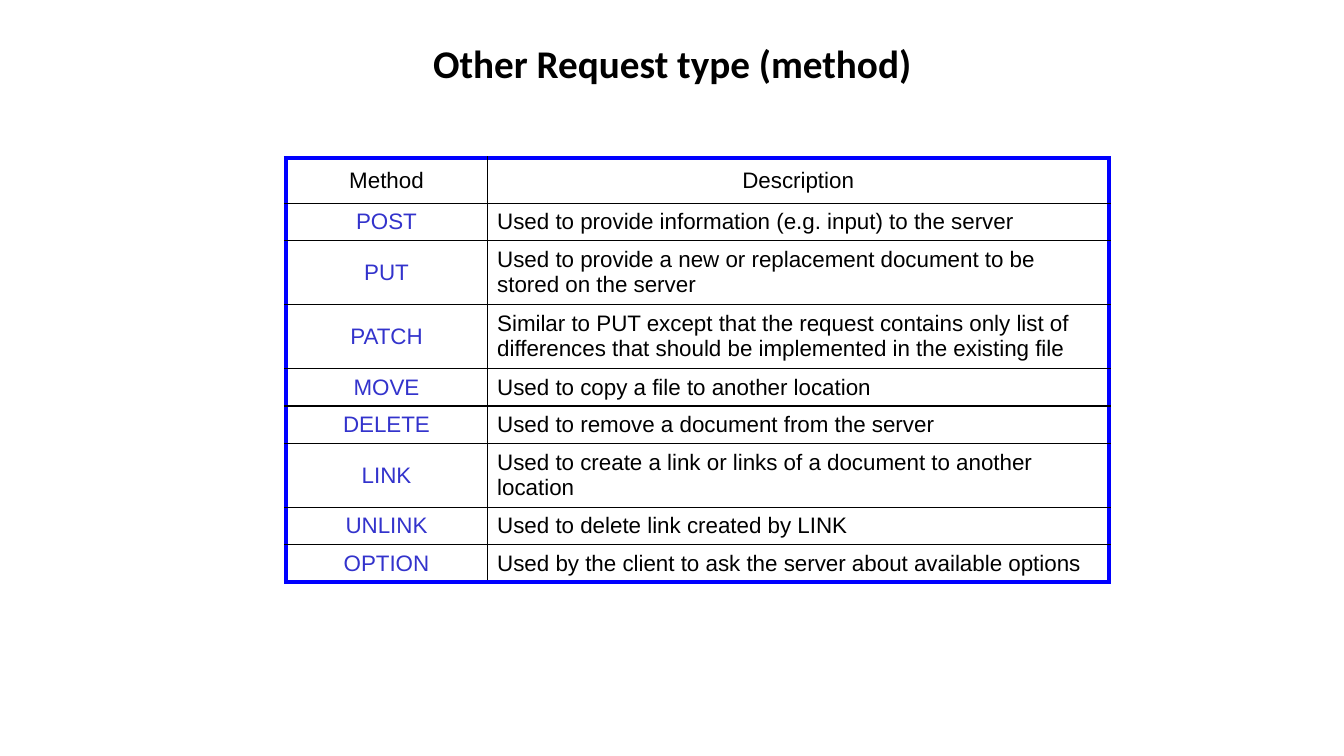
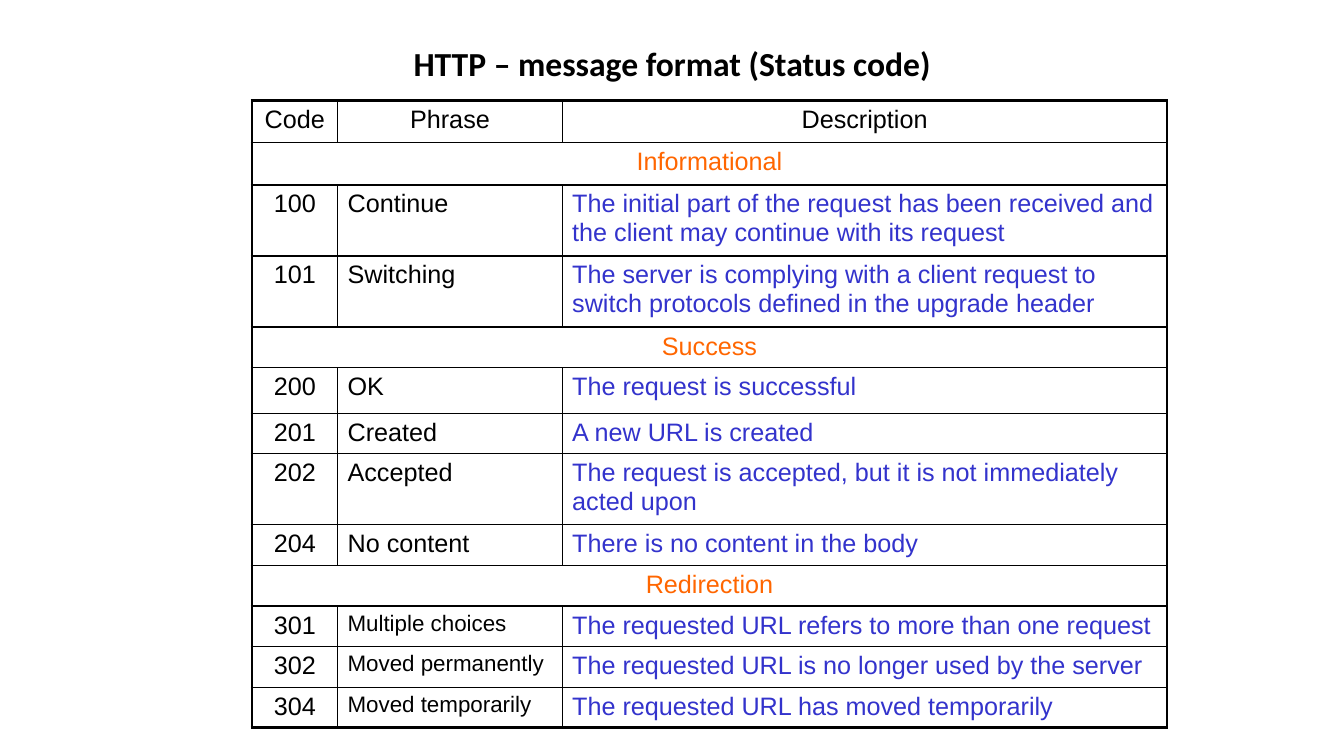
from lxml.etree import SubElement
from pptx import Presentation
from pptx.dml.color import RGBColor
from pptx.enum.text import MSO_ANCHOR as ANCHOR, PP_ALIGN as ALIGN
from pptx.oxml.ns import qn
from pptx.util import Cm, Pt

COLORS = {"black": "000000", "frame": "0000FF", "accent": "3333CC", "section": "FF6600"}
HEAD_FONT, BODY_FONT = "Calibri", "Arial"
TITLE_BOX = (5.51, 0, 22.86, 3.18)
PAD_X, PAD_Y = 0.25, 0.13

METHODS = [
    ("POST", "Used to provide information (e.g. input) to the server"),
    ("PUT", "Used to provide a new or replacement document to be stored on the server"),
    ("PATCH", "Similar to PUT except that the request contains only list of "
              "differences that should be implemented in the existing file"),
    ("MOVE", "Used to copy a file to another location"),
    ("DELETE", "Used to remove a document from the server"),
    ("LINK", "Used to create a link or links of a document to another location"),
    ("UNLINK", "Used to delete link created by LINK"),
    ("OPTION", "Used by the client to ask the server about available options"),
]
METHOD_HEIGHTS = [1.14, 0.94, 1.61, 1.61, 0.94, 0.94, 1.61, 0.94, 0.94]

# A row with a single entry is a section heading across the table.
STATUS_CODES = [
    ("Informational",),
    ("100", "Continue", "The initial part of the request has been received and "
                        "the client may continue with its request"),
    ("101", "Switching", "The server is complying with a client request to "
                         "switch protocols defined in the upgrade header"),
    ("Success",),
    ("200", "OK", "The request is successful"),
    ("201", "Created", "A new URL is created"),
    ("202", "Accepted", "The request is accepted, but it is not immediately acted upon"),
    ("204", "No content", "There is no content in the body"),
    ("Redirection",),
    ("301", "Multiple choices", "The requested URL refers to more than one request"),
    ("302", "Moved permanently", "The requested URL is no longer used by the server"),
    ("304", "Moved temporarily", "The requested URL has moved temporarily"),
]
STATUS_HEIGHTS = [1.06, 1.06, 1.79, 1.79, 1.02, 1.15, 1.02, 1.79] + [1.02] * 5


def write(tf, text, size, font=BODY_FONT, color="black", bold=False, align=ALIGN.LEFT):
    """Put one formatted paragraph into a text frame."""
    tf.word_wrap = True
    p = tf.paragraphs[0]
    p.alignment = align
    r = p.add_run()
    r.text = text
    r.font.name, r.font.size, r.font.bold = font, Pt(size), bold
    r.font.color.rgb = RGBColor.from_string(COLORS[color])


def add_title(s, text, size, box=TITLE_BOX):
    """Place the centred bold heading in its box."""
    tf = s.shapes.add_textbox(*map(Cm, box)).text_frame
    tf.vertical_anchor = ANCHOR.MIDDLE
    write(tf, text, size, font=HEAD_FONT, bold=True, align=ALIGN.CENTER)


def set_border(cell, side, color, width):
    """Draw one side (L, R, T or B) of a cell."""
    ln = SubElement(cell._tc.get_or_add_tcPr(), qn(f"a:ln{side}"), w=str(Pt(width)))
    fill = SubElement(ln, qn("a:solidFill"))
    SubElement(fill, qn("a:srgbClr"), val=COLORS[color])


def frame_cell(cell, row, col, n_rows, n_cols, frame):
    """Give a cell thin inner lines and the frame line on the table's edge."""
    merged = cell.is_merge_origin or cell.is_spanned
    outer = {"L": col == 0, "R": col == n_cols - 1 or cell.is_merge_origin,
             "T": row == 0, "B": row == n_rows - 1}
    for side, on_edge in outer.items():
        if on_edge or side in "TB" or not merged:
            set_border(cell, side, *(frame if on_edge else ("black", 1)))


def add_grid(s, left, top, widths, heights, rows, frame, anchor, style):
    """Place a framed table; style(row, col, text) gives each cell's text format."""
    n_rows, n_cols = len(rows), len(widths)
    table = s.shapes.add_table(n_rows, n_cols, Cm(left), Cm(top),
                               Cm(sum(widths)), Cm(sum(heights))).table
    table.first_row = table.horz_banding = False
    for column, width in zip(table.columns, widths):
        column.width = Cm(width)
    for i, (height, texts) in enumerate(zip(heights, rows)):
        table.rows[i].height = Cm(height)
        if len(texts) == 1:
            table.cell(i, 0).merge(table.cell(i, n_cols - 1))
        for j in range(n_cols):
            cell = table.cell(i, j)
            frame_cell(cell, i, j, n_rows, n_cols, frame)
            cell.fill.background()
            cell.vertical_anchor = anchor
            cell.margin_left = cell.margin_right = Cm(PAD_X)
            cell.margin_top = cell.margin_bottom = Cm(PAD_Y)
            if j < len(texts):
                write(cell.text_frame, texts[j], **style(i, j, texts))


def method_style(row, col, texts):
    """Format for the request methods: centred accent names, plain descriptions."""
    return dict(size=16, color="accent" if row and col == 0 else "black",
                align=ALIGN.CENTER if row == 0 or col == 0 else ALIGN.LEFT)


def status_style(row, col, texts):
    """Format for the status codes, with coloured sections and descriptions."""
    if len(texts) == 1:
        return dict(size=18, color="section", align=ALIGN.CENTER)
    small = col == 1 and texts[0].startswith("3")
    return dict(size=16 if small else 18, color="accent" if row and col == 2 else "black",
                align=ALIGN.CENTER if row == 0 or col == 0 else ALIGN.LEFT)


def methods_slide(s):
    """Slide on the other request methods."""
    add_title(s, "Other Request type (method)", 28)
    add_grid(s, 7.2, 3.98, [5.08, 15.67], METHOD_HEIGHTS,
             [("Method", "Description")] + METHODS,
             ("frame", 3), ANCHOR.MIDDLE, method_style)


def status_slide(s):
    """Slide on the status codes."""
    add_title(s, "HTTP – message format (Status code)", 24)
    add_grid(s, 6.35, 2.54, [2.16, 5.66, 15.24], STATUS_HEIGHTS,
             [("Code", "Phrase", "Description")] + STATUS_CODES,
             ("black", 2.25), ANCHOR.TOP, status_style)


prs = Presentation()
prs.slide_width, prs.slide_height = Cm(33.87), Cm(19.05)
for build in (methods_slide, status_slide):
    build(prs.slides.add_slide(prs.slide_layouts[6]))
prs.save("out.pptx")
